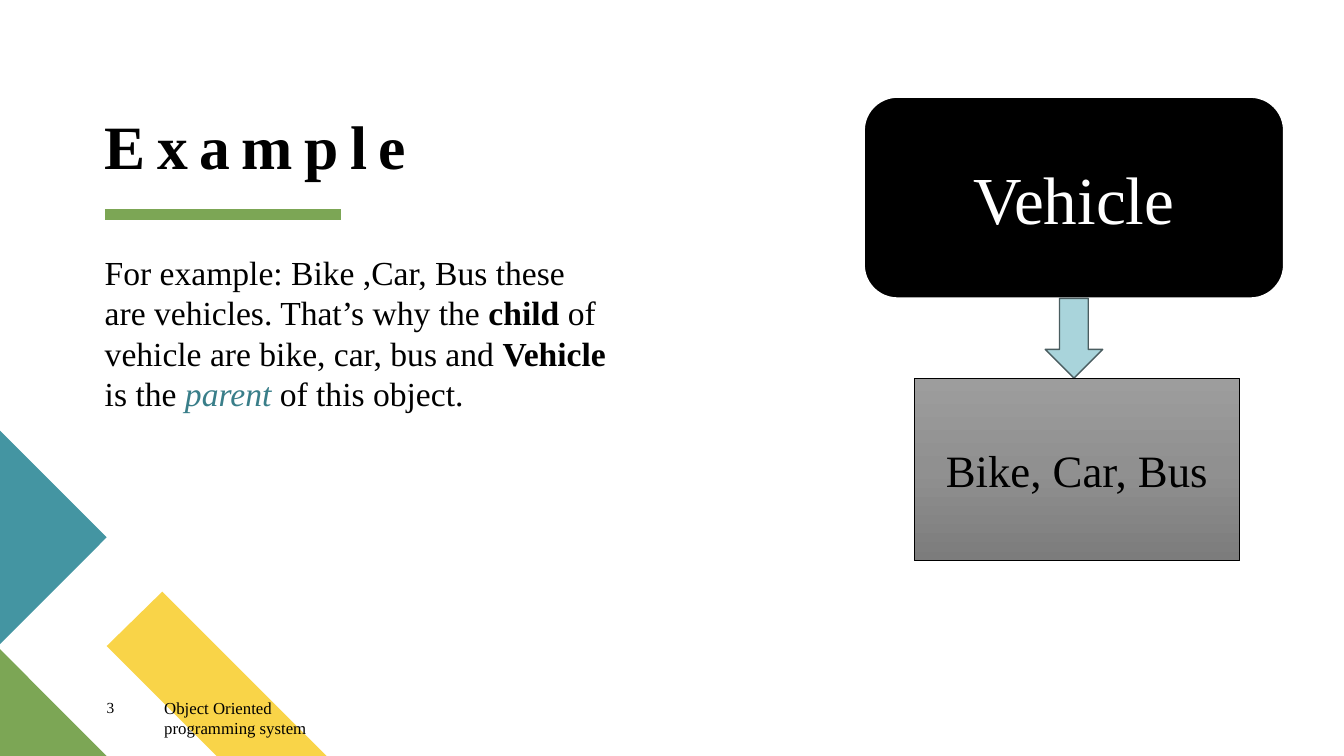
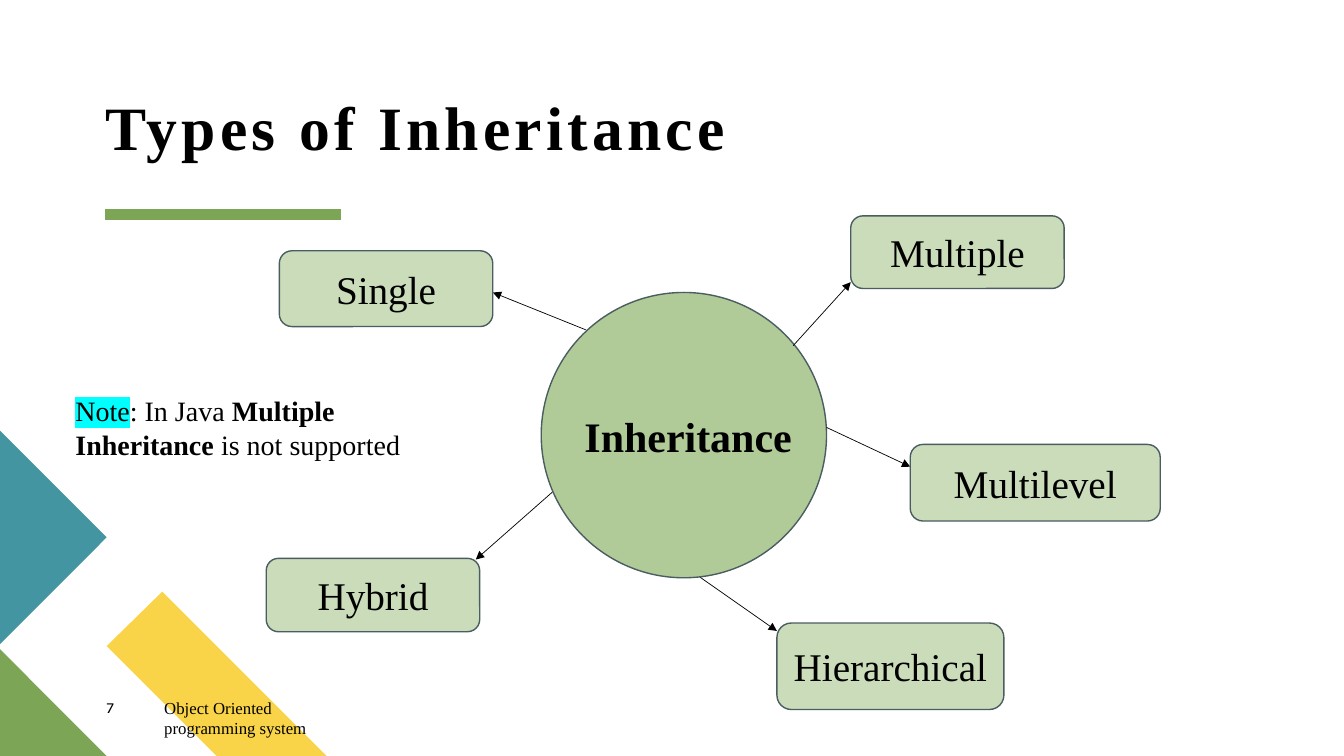
from copy import deepcopy

from lxml import etree
from pptx import Presentation
from pptx.dml.color import RGBColor
from pptx.enum import shapes, text
from pptx.oxml.ns import qn
from pptx.util import Cm, Pt

BLACK = RGBColor(0x00, 0x00, 0x00)
WHITE = RGBColor(0xFF, 0xFF, 0xFF)
YELLOW = RGBColor(0xF9, 0xD4, 0x48)
GREEN = RGBColor(0x7C, 0xA6, 0x55)
TEAL = RGBColor(0x44, 0x95, 0xA2)
DARK_TEAL = RGBColor(0x39, 0x7E, 0x89)
PALE_TEAL = RGBColor(0xA9, 0xD4, 0xDB)
MID_GREEN = RGBColor(0xB0, 0xCA, 0x98)
PALE_GREEN = RGBColor(0xCB, 0xDC, 0xBA)
OUTLINE = RGBColor(0x4A, 0x5D, 0x60)
CYAN = RGBColor(0x00, 0xFF, 0xFF)
GREYS = [(0, RGBColor(0x9D, 0x9D, 0x9D)), (0.5, RGBColor(0x90, 0x90, 0x90)),
         (1, RGBColor(0x7C, 0x7C, 0x7C))]

SERIF, SANS = "Times New Roman", "Karla"
KIND, ALIGN, ANCHOR = shapes.MSO_SHAPE, text.PP_ALIGN, text.MSO_ANCHOR

# All places are in centimetres: left, top, width, height.
FOOTER = "Object Oriented programming system"
CORNER = [
    (YELLOW, [(8.23, 19.05), (5.46, 19.05), (2.69, 16.28), (4.09, 14.91)]),
    (GREEN, [(2.69, 19.05), (0, 19.05), (0, 16.36)]),
    (TEAL, [(0, 10.85), (2.69, 13.54), (0, 16.23)]),
]
EXPLANATION = [
    ("For example: Bike ,Car, Bus these are vehicles. That’s why the ", {}),
    ("child", {"bold": True}),
    (" of vehicle are bike, car, bus and ", {}),
    ("Vehicle", {"bold": True}),
    (" is the ", {}),
    ("parent", {"italic": True, "color": DARK_TEAL}),
    (" of this object.", {}),
]
NOTE = [
    ("Note", {"highlight": CYAN}),
    (": In Java ", {}),
    ("Multiple Inheritance", {"bold": True}),
    (" is not supported", {}),
]
# Name, place of the box, start and end of its arrow
TYPES = [
    ("Multiple", (21.44, 5.44, 5.38, 1.83), (19.99, 8.71), (21.44, 7.11)),
    ("Multilevel", (22.94, 11.2, 6.3, 1.93), (20.83, 10.77), (22.94, 11.76)),
    ("Hierarchical", (19.58, 15.7, 5.72, 2.18), (17.65, 14.55), (19.58, 15.9)),
    ("Hybrid", (6.71, 14.07, 5.38, 1.85), (13.92, 12.4), (11.99, 14.1)),
    ("Single", (7.04, 6.32, 5.38, 1.91), (14.76, 8.31), (12.42, 7.37)),
]


def add_span(para, words, size, color=BLACK, font=SERIF, bold=False,
             italic=False, spacing=0, highlight=None):
    """Add a run; spacing is the tracking between letters in points."""
    span = para.add_run()
    span.text = words
    span.font.name, span.font.size = font, Pt(size)
    span.font.bold, span.font.italic = bold, italic
    span.font.color.rgb = color
    properties = span._r.get_or_add_rPr()
    if spacing:
        properties.set("spc", str(round(spacing * 100)))
    if highlight:
        mark = etree.Element(qn("a:highlight"))
        etree.SubElement(mark, qn("a:srgbClr"), val=str(highlight))
        properties.find(qn("a:solidFill")).addnext(mark)


def add_text(page, place, spans, size, inset=True, anchor=ANCHOR.TOP):
    box = page.shapes.add_textbox(*map(Cm, place))
    frame = box.text_frame
    frame.word_wrap, frame.vertical_anchor = True, anchor
    if not inset:
        frame.margin_left = frame.margin_right = 0
        frame.margin_top = frame.margin_bottom = 0
    para = frame.paragraphs[0]
    for words, style in spans:
        add_span(para, words, size, **style)
    return para


def add_box(page, kind, place, fill, line=OUTLINE, width=1, label="", size=28,
            color=BLACK):
    """Add a preset shape; a list as fill gives a gradient from top to bottom."""
    box = page.shapes.add_shape(kind, *map(Cm, place))
    box.shadow.inherit = False
    if isinstance(fill, list):
        box.fill.gradient()
        box.fill.gradient_angle = 270
        stops = box.element.spPr.find(".//" + qn("a:gsLst"))
        while len(stops) < len(fill):
            stops.insert(1, deepcopy(stops[0]))
        for stop, (position, shade) in zip(box.fill.gradient_stops, fill):
            stop.position, stop.color.rgb = position, shade
    else:
        box.fill.solid()
        box.fill.fore_color.rgb = fill
    box.line.color.rgb, box.line.width = line, Pt(width)
    if label:
        box.text_frame.word_wrap = True
        box.text_frame.vertical_anchor = ANCHOR.MIDDLE
        para = box.text_frame.paragraphs[0]
        para.alignment = ALIGN.CENTER
        add_span(para, label, size, color)


def add_line(page, start, end, color=BLACK, width=0.5, arrow=False):
    line = page.shapes.add_connector(shapes.MSO_CONNECTOR.STRAIGHT,
                                     *map(Cm, start + end))
    line.line.color.rgb, line.line.width = color, Pt(width)
    if arrow:
        etree.SubElement(line.line._get_or_add_ln(), qn("a:tailEnd"),
                         type="triangle")
    etree.SubElement(line.element.spPr, qn("a:effectLst"))


def add_page(deck, title, place, spacing, number, number_font=SERIF):
    """Add a slide with the corner pattern, title, rule and footer."""
    page = deck.slides.add_slide(deck.slide_layouts[6])
    for color, points in CORNER:
        first, *others = [(Cm(x), Cm(y)) for x, y in points]
        builder = page.shapes.build_freeform(*first)
        builder.add_line_segments(others)
        patch = builder.convert_to_shape()
        patch.shadow.inherit = False
        patch.fill.solid()
        patch.fill.fore_color.rgb = color
        patch.line.fill.background()
    add_line(page, (2.64, 5.4), (8.59, 5.4), GREEN, 8)
    heading = add_text(page, place, [(title, {"bold": True, "spacing": spacing})],
                       44, inset=False, anchor=ANCHOR.BOTTOM)
    heading.line_spacing = 0.9
    add_text(page, (4.14, 17.58, 4.17, 0.69), [(FOOTER, {})], 12, inset=False)
    add_text(page, (2.69, 17.58, 1.45, 0.69), [(number, {"font": number_font})],
             11, inset=False)
    return page


def add_example(deck):
    page = add_page(deck, "Example", (2.64, 2.9, 13.72, 1.7), 8.2, "3")
    body = add_text(page, (2.64, 6.35, 12.7, 7.77), EXPLANATION, 24, inset=False)
    body.space_before = Pt(10)
    add_box(page, KIND.ROUNDED_RECTANGLE, (21.77, 2.44, 10.59, 5.08), BLACK,
            WHITE, 1.5, "Vehicle", 48, WHITE)
    add_box(page, KIND.DOWN_ARROW, (26.34, 7.52, 1.45, 2.01), PALE_TEAL)
    add_box(page, KIND.RECTANGLE, (23.04, 9.53, 8.2, 4.6), GREYS,
            BLACK, 0.5, "Bike, Car, Bus", 32)


def add_types(deck):
    page = add_page(deck, "Types of Inheritance", (2.67, 2.44, 17.3, 1.7), 3,
                    "7", SANS)
    add_box(page, KIND.OVAL, (13.64, 7.37, 7.19, 7.19), MID_GREEN)
    add_text(page, (14.48, 10.21, 5.94, 1.55), [("Inheritance", {"bold": True})], 30)
    for name, place, start, end in TYPES:
        add_line(page, start, end, arrow=True)
        add_box(page, KIND.ROUNDED_RECTANGLE, place, PALE_GREEN, label=name)
    add_text(page, (1.65, 9.8, 8.94, 1.96), NOTE, 20)


def main():
    deck = Presentation()
    deck.slide_width, deck.slide_height = Cm(33.87), Cm(19.05)
    add_example(deck)
    add_types(deck)
    deck.save("out.pptx")


if __name__ == "__main__":
    main()
